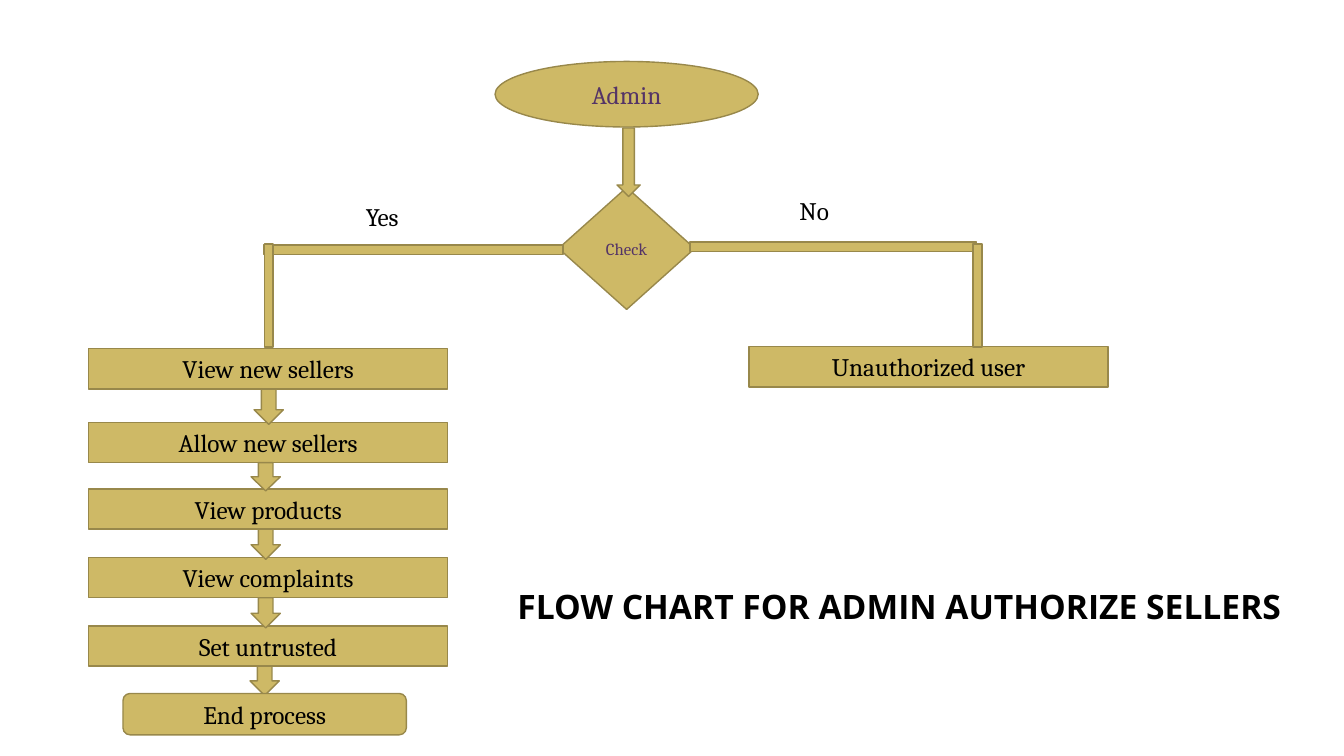
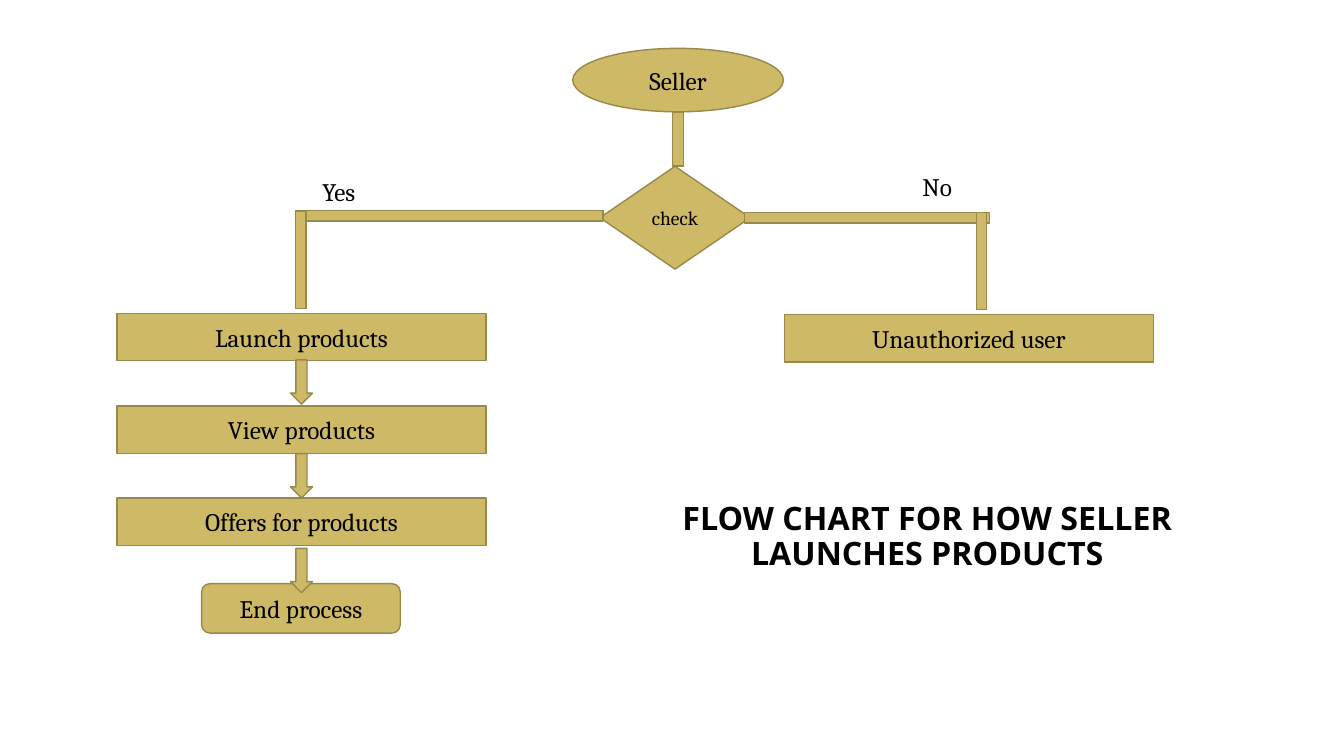
"""Build two flow chart slides: authorizing sellers and launching products."""
from pptx import Presentation
from pptx.dml.color import RGBColor
from pptx.enum.shapes import MSO_SHAPE
from pptx.enum.text import MSO_ANCHOR, MSO_AUTO_SIZE, PP_ALIGN
from pptx.util import Inches, Pt

COLORS = {"gold": "CEB966", "edge": "98884B", "purple": "543466", "black": "000000"}


def color(name):
    return RGBColor.from_string(COLORS[name])


def write(frame, text, size=18, font="Cambria", ink="black", bold=False,
          align=PP_ALIGN.CENTER, anchor=MSO_ANCHOR.MIDDLE, spacing=None):
    frame.word_wrap = True
    frame.vertical_anchor = anchor
    para = frame.paragraphs[0]
    para.alignment = align
    para.line_spacing = spacing
    span = para.add_run()
    span.text = text
    span.font.size = Pt(size)
    span.font.name = font
    span.font.bold = bold
    span.font.color.rgb = color(ink)


class FlowChart:
    def __init__(self):
        self.deck = Presentation()
        self.deck.slide_width = Inches(13.33)
        self.deck.slide_height = Inches(7.5)
        self.page = None

    def add_page(self, title, left, top, width, height, size):
        self.page = self.deck.slides.add_slide(self.deck.slide_layouts[5])
        box = self.page.shapes.title
        box.left, box.top = Inches(left), Inches(top)
        box.width, box.height = Inches(width), Inches(height)
        frame = box.text_frame
        frame.auto_size = MSO_AUTO_SIZE.NONE
        frame.margin_bottom = Inches(0.45)
        write(frame, title, size=size, font="Open Sans", bold=True, spacing=0.9)

    def node(self, kind, left, top, width, height, text="", **style):
        box = self.page.shapes.add_shape(
            kind, Inches(left), Inches(top), Inches(width), Inches(height))
        box.shadow.inherit = False
        box.fill.solid()
        box.fill.fore_color.rgb = color("gold")
        box.line.color.rgb = color("edge")
        box.line.width = Pt(1)
        if text:
            write(box.text_frame, text, **style)
        return box

    def steps(self, labels, left, tops, width, height):
        for label, top in zip(labels, tops):
            self.node(MSO_SHAPE.RECTANGLE, left, top, width, height, label)

    def arrow(self, left, top, width, height):
        self.node(MSO_SHAPE.DOWN_ARROW, left, top, width, height)

    def bar(self, left, top, width, height, upright=False):
        box = self.node(MSO_SHAPE.MATH_MINUS, left, top, width, height)
        box.adjustments[0] = 0.235
        box.rotation = 270 if upright else 0

    def label(self, text, left, top, width):
        box = self.page.shapes.add_textbox(
            Inches(left), Inches(top), Inches(width), Inches(0.4))
        box.text_frame.auto_size = MSO_AUTO_SIZE.SHAPE_TO_FIT_TEXT
        write(box.text_frame, text, align=PP_ALIGN.LEFT, anchor=MSO_ANCHOR.TOP)

    def end(self, left, top, width, height):
        self.node(MSO_SHAPE.ROUNDED_RECTANGLE, left, top, width, height, "End process")


def add_admin_page(chart):
    chart.add_page("FLOW CHART FOR ADMIN AUTHORIZE SELLERS", 4.85, 5.54, 8.14, 1.4, 24)
    chart.node(MSO_SHAPE.OVAL, 4.91, 0.61, 2.61, 0.65, "Admin", ink="purple")
    chart.node(MSO_SHAPE.DIAMOND, 5.54, 1.86, 1.35, 1.21, "Check", size=12, ink="purple")
    labels = ["View new sellers", "Allow new sellers", "View products",
              "View complaints", "Set untrusted"]
    tops = [3.46, 4.19, 4.85, 5.53, 6.21]
    height, end_top, overlap = 0.4, 6.88, 0.02
    chart.steps(labels, 0.88, tops, 3.56, height)
    chart.steps(["Unauthorized user"], 7.43, [3.44], 3.56, height)
    chart.arrow(6.12, 1.27, 0.23, 0.68)
    chart.bar(2.08, 2.28, 4.04, 0.4)
    chart.bar(1.97, 2.74, 1.39, 0.38, upright=True)
    lefts = [2.52, 2.49, 2.49, 2.49, 2.48]
    for left, top, following in zip(lefts, tops, tops[1:] + [end_top]):
        bottom = top + height
        chart.arrow(left, bottom, 0.29, following - bottom + overlap)
    chart.bar(6.33, 2.25, 3.87, 0.4)
    chart.bar(9, 2.74, 1.39, 0.38, upright=True)
    chart.label("No", 7.83, 1.89, 1.27)
    chart.label("Yes", 3.53, 1.95, 1.08)
    chart.end(1.22, end_top, 2.81, 0.41)


def add_seller_page(chart):
    chart.add_page("FLOW CHART FOR HOW SELLER LAUNCHES PRODUCTS", 6.08, 4.91, 6.24, 1.25, 23)
    chart.node(MSO_SHAPE.OVAL, 5.68, 0.48, 2.09, 0.63, "Seller")
    chart.node(MSO_SHAPE.DIAMOND, 5.95, 1.65, 1.49, 1.02, "check", size=14)
    labels = ["Launch products", "View products", "Offers for products"]
    chart.steps(labels, 1.16, [3.11, 4.03, 4.94], 3.66, 0.47)
    chart.steps(["Unauthorized user"], 7.78, [3.12], 3.66, 0.47)
    chart.end(2, 5.79, 1.97, 0.49)
    chart.bar(2.38, 1.92, 4.15, 0.44)
    chart.bar(2.33, 2.36, 1.31, 0.44, upright=True)
    chart.bar(6.95, 1.94, 3.3, 0.44)
    chart.bar(9.08, 2.37, 1.31, 0.44, upright=True)
    chart.bar(6.36, 1.16, 0.73, 0.44, upright=True)
    for top in [3.57, 4.5, 5.44]:
        chart.arrow(2.88, top, 0.22, 0.44)
    chart.label("Yes", 3.1, 1.7, 1.08)
    chart.label("No", 9.05, 1.65, 0.87)


def main():
    chart = FlowChart()
    add_admin_page(chart)
    add_seller_page(chart)
    chart.deck.save("out.pptx")


if __name__ == "__main__":
    main()
